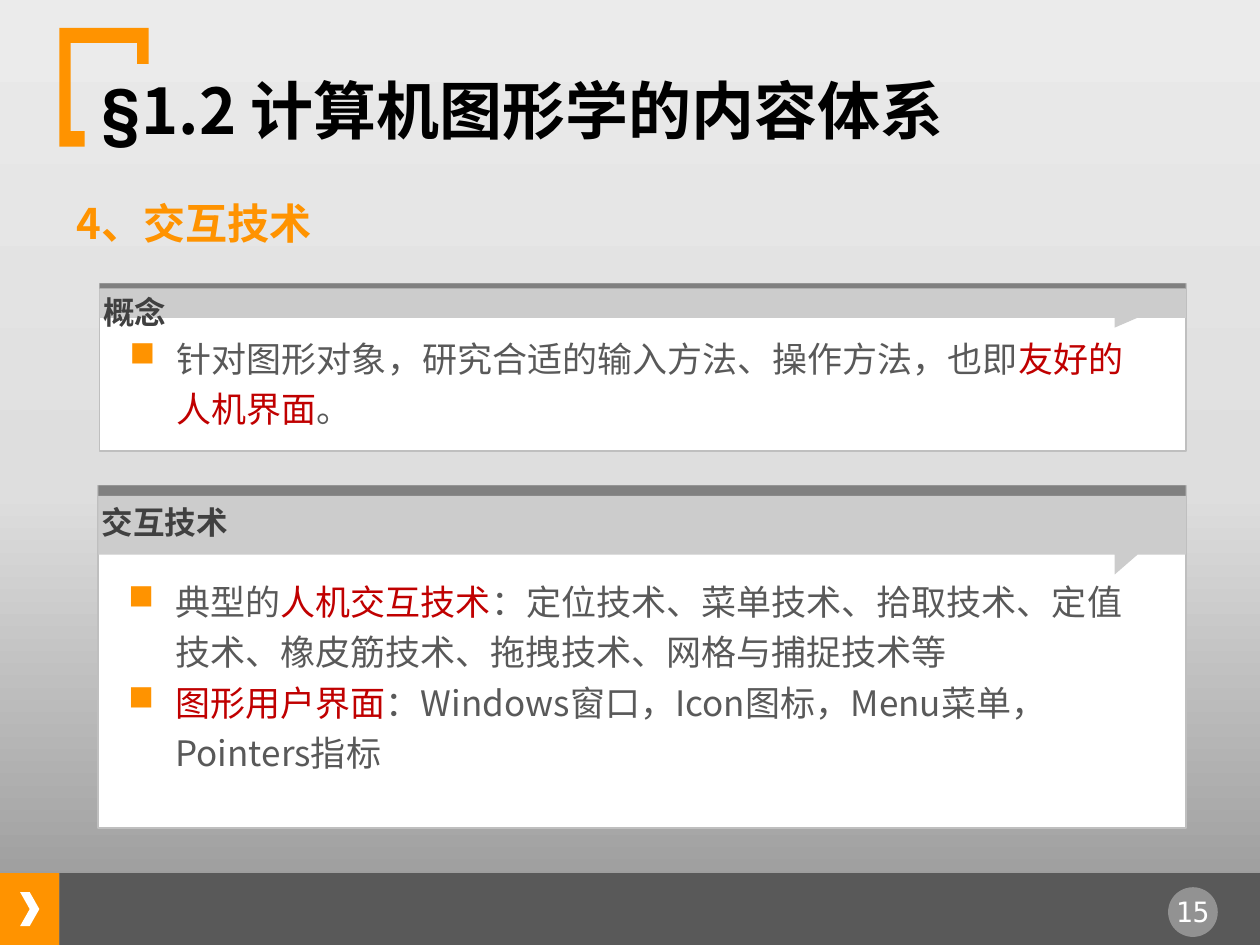
from copy import deepcopy

from lxml import etree
from pptx import Presentation
from pptx.dml.color import RGBColor
from pptx.enum.shapes import MSO_SHAPE
from pptx.enum.text import MSO_ANCHOR, PP_ALIGN
from pptx.oxml.ns import qn
from pptx.util import Pt

RECTANGLE, OVAL, CHEVRON = MSO_SHAPE.RECTANGLE, MSO_SHAPE.OVAL, MSO_SHAPE.CHEVRON
TOP, MIDDLE = MSO_ANCHOR.TOP, MSO_ANCHOR.MIDDLE
LEFT, CENTER = PP_ALIGN.LEFT, PP_ALIGN.CENTER

ORANGE = RGBColor(0xFF, 0x93, 0x00)
RED = RGBColor(0xC0, 0x00, 0x00)
WHITE = RGBColor(0xFF, 0xFF, 0xFF)
BLACK = RGBColor(0x00, 0x00, 0x00)
FOOTER_GRAY = RGBColor(0x59, 0x59, 0x59)
TEXT_GRAY = RGBColor(0x59, 0x59, 0x59)
LABEL_GRAY = RGBColor(0x40, 0x40, 0x40)
STRIP_GRAY = RGBColor(0x80, 0x80, 0x80)
FLAG_GRAY = RGBColor(0xCC, 0xCC, 0xCC)
BORDER_GRAY = RGBColor(0xBF, 0xBF, 0xBF)
BACKGROUND_STOPS = [
    (0, RGBColor(0x94, 0x94, 0x94)),
    (0.48, RGBColor(0xDE, 0xDE, 0xDE)),
    (1, RGBColor(0xEB, 0xEB, 0xEB)),
]
FONT = "Noto Sans CJK SC"

presentation = Presentation()
presentation.slide_width, presentation.slide_height = Pt(720), Pt(540)
slide = presentation.slides.add_slide(presentation.slide_layouts[5])


def write_text(shape, paragraphs, *, size, color=TEXT_GRAY, bold=False, font=FONT,
               align=LEFT, anchor=MIDDLE, wrap=True, spacing=None, bullet=False):
    """Each paragraph is a list of (text, format) pairs; format may override color or font."""
    frame = shape.text_frame
    frame.word_wrap = wrap
    frame.vertical_anchor = anchor
    for index, runs in enumerate(paragraphs):
        paragraph = frame.add_paragraph() if index else frame.paragraphs[0]
        paragraph.alignment = align
        paragraph.space_before = Pt(0)
        if spacing:
            paragraph.line_spacing = spacing
        if bullet:
            properties = paragraph._p.get_or_add_pPr()
            properties.set("marL", str(Pt(27)))
            properties.set("indent", str(-Pt(27)))
            bullet_color = etree.SubElement(properties, qn("a:buClr"))
            etree.SubElement(bullet_color, qn("a:srgbClr"), val=str(ORANGE))
            etree.SubElement(properties, qn("a:buChar"), char="■")
        for text, override in runs:
            run = paragraph.add_run()
            run.text = text
            run.font.size = Pt(size)
            run.font.bold = bold
            run.font.color.rgb = override.get("color", color)
            run.font.name = override.get("font", font)
            latin = run.font._element.find(qn("a:latin"))
            latin.addnext(etree.Element(qn("a:ea"), typeface=run.font.name))


def paint(shape, fill, line=None, alpha=None):
    shape.shadow.inherit = False
    shape.fill.solid()
    shape.fill.fore_color.rgb = fill
    if line is None:
        shape.line.fill.background()
    else:
        shape.line.color.rgb = line
        shape.line.width = Pt(1)
    if alpha is not None:
        color = shape._element.spPr.find(qn("a:solidFill"))[0]
        etree.SubElement(color, qn("a:alpha"), val=str(alpha * 1000))


# Background gradient, dark at the bottom
background = slide.background.fill
background.gradient()
background.gradient_angle = 90
stop_list = slide.element.xpath(".//a:gsLst")[0]
stop_list.append(deepcopy(stop_list[-1]))
for stop, (position, color) in zip(background.gradient_stops, BACKGROUND_STOPS):
    stop.position = position
    stop.color.rgb = color

# Footer bar with chevron and page number
for kind, left, top, width, height, fill, alpha in [
    (RECTANGLE, 0, 499, 34, 41, ORANGE, None),
    (RECTANGLE, 34, 499, 686, 41, FOOTER_GRAY, None),
    (CHEVRON, 11.5, 509.8, 11, 19.4, WHITE, None),
    (OVAL, 667.5, 507, 28.4, 28.4, WHITE, 35),
]:
    shape = slide.shapes.add_shape(kind, Pt(left), Pt(top), Pt(width), Pt(height))
    paint(shape, fill, alpha=alpha)
page_number = slide.shapes.add_textbox(Pt(662.4), Pt(507.6), Pt(38.2), Pt(26.6))
write_text(page_number, [[("15", {})]], size=16, color=WHITE,
           font="DejaVu Sans Mono", align=CENTER)

# Corner bracket and title
bracket_points = [(34, 16), (85, 16), (85, 36.6), (78.4, 36.6), (78.4, 24.6),
                  (40.4, 24.6), (40.4, 75), (48.4, 75), (48.4, 83.8), (34, 83.8)]
outlines = [(bracket_points, ORANGE)]
builder = slide.shapes.build_freeform(Pt(34), Pt(16))
builder.add_line_segments([(Pt(x), Pt(y)) for x, y in bracket_points[1:]])
paint(builder.convert_to_shape(), ORANGE)

title = slide.shapes.title
title.left, title.top, title.width, title.height = Pt(51), Pt(36.7), Pt(626.4), Pt(51)
write_text(title, [[("§", {"font": "Roboto"}), ("1.2 计算机图形学的内容体系", {})]],
           size=36, color=BLACK, bold=True)

# Section heading
heading = slide.shapes.add_textbox(Pt(36.7), Pt(98), Pt(574), Pt(44))
write_text(heading, [[("4、交互技术", {})]], size=24, color=ORANGE, bold=True, spacing=1.5)

# Panels: border, top strip, label band with a pointed tab, label, bullets
red = {"color": RED}
panels = [
    dict(left=56.9, top=162, height=95.8, strip=3, band_bottom=181.6, tip=187.2,
         label="概念", label_box=(165.6, 57, 25.2), body_box=(184.3, 65.5),
         body=[[("针对图形对象，研究合适的输入方法、操作方法，也即", {}),
                ("友好的人机界面", red), ("。", {})]]),
    dict(left=56.2, top=277.4, height=195.8, strip=6, band_bottom=317, tip=328.3,
         label="交互技术", label_box=(283.7, 87, 28.8), body_box=(323.3, 123.8),
         body=[[("典型的", {}), ("人机交互技术", red),
                ("：定位技术、菜单技术、拾取技术、定值技术、橡皮筋技术、拖拽技术、网格与捕捉技术等", {})],
               [("图形用户界面", red),
                ("：Windows窗口，Icon图标，Menu菜单，Pointers指标", {})]]),
]
right = 677.6
for panel in panels:
    left, top, strip = panel["left"], panel["top"], panel["strip"]
    for height, fill, line in [(panel["height"], WHITE, BORDER_GRAY),
                               (strip, STRIP_GRAY, None)]:
        shape = slide.shapes.add_shape(RECTANGLE, Pt(left), Pt(top),
                                       Pt(right - left), Pt(height))
        paint(shape, fill, line)

    bottom = panel["band_bottom"]
    band_points = [(right, top + strip), (right, bottom), (650, bottom),
                   (637, panel["tip"]), (637, bottom), (left, bottom)]
    builder = slide.shapes.build_freeform(Pt(left), Pt(top + strip))
    builder.add_line_segments([(Pt(x), Pt(y)) for x, y in band_points])
    paint(builder.convert_to_shape(), FLAG_GRAY)

    body_top, body_height = panel["body_box"]
    body = slide.shapes.add_textbox(Pt(left + 10), Pt(body_top), Pt(596), Pt(body_height))
    write_text(body, panel["body"], size=20, anchor=TOP, spacing=1.2, bullet=True)

    label_top, label_width, label_height = panel["label_box"]
    label = slide.shapes.add_textbox(Pt(left - 5.1), Pt(label_top),
                                     Pt(label_width), Pt(label_height))
    write_text(label, [[(panel["label"], {})]], size=18, color=LABEL_GRAY,
               bold=True, wrap=False)

presentation.save("out.pptx")
